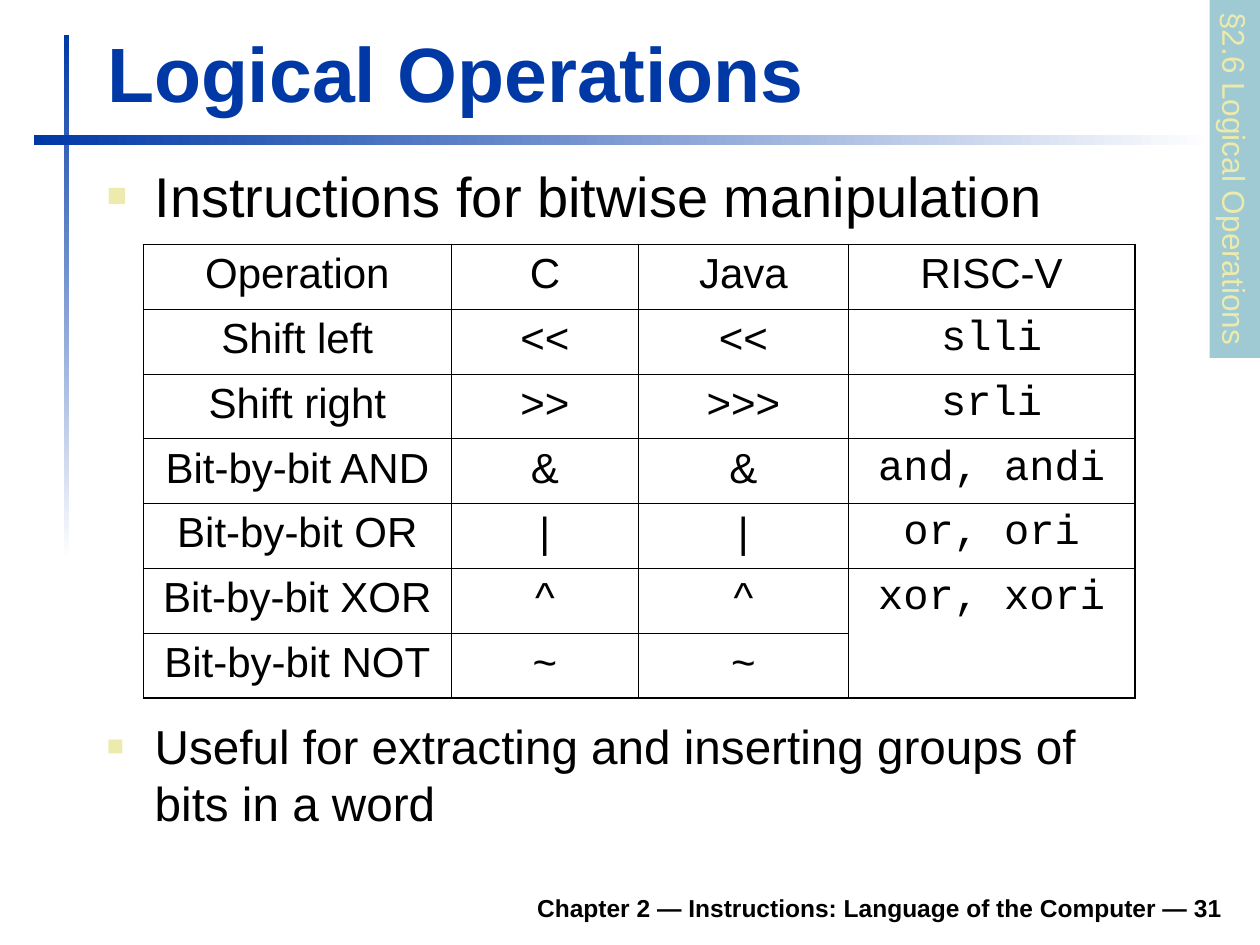
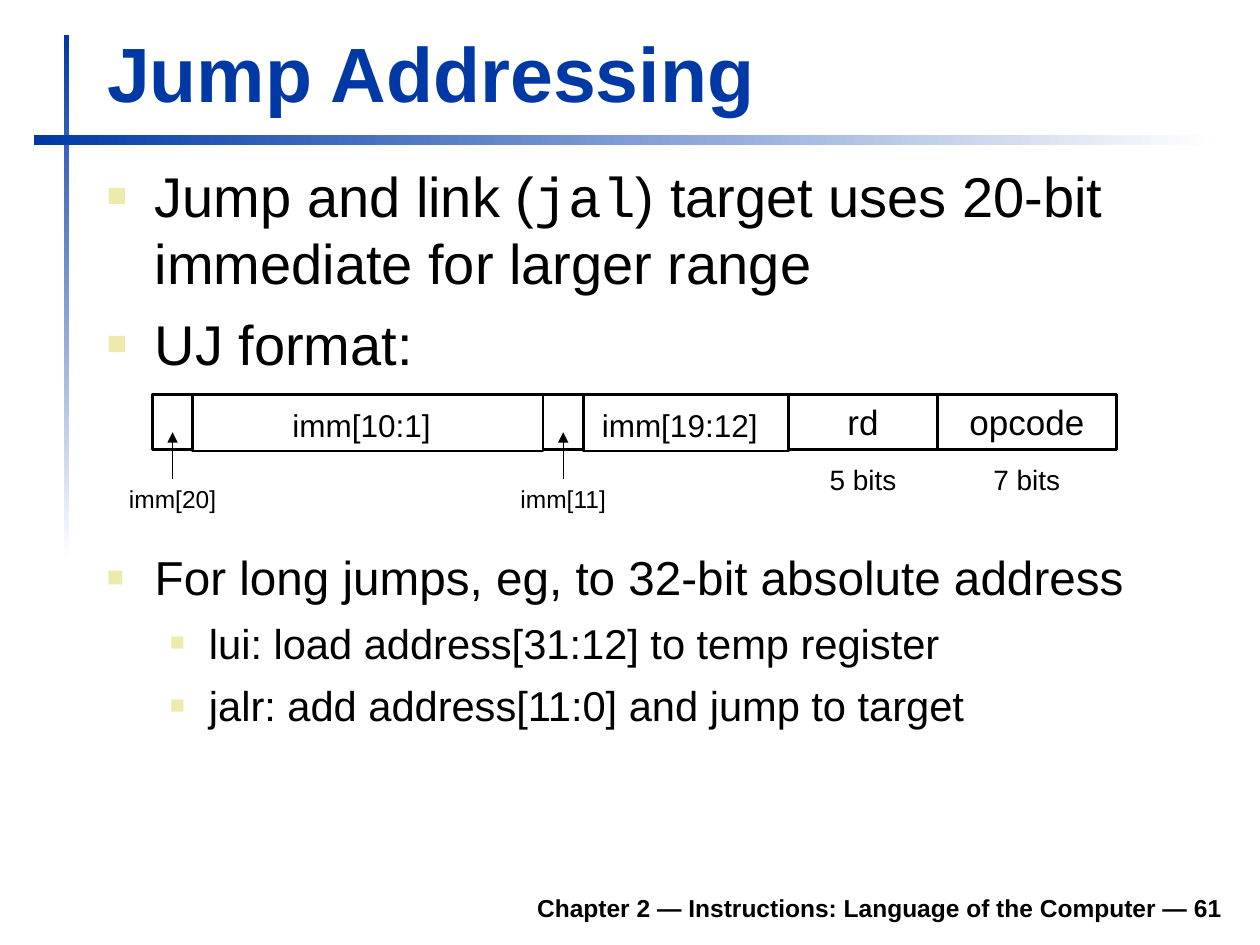
from dataclasses import dataclass

from lxml import etree
from pptx import Presentation
from pptx import util as u
from pptx.dml.color import RGBColor
from pptx.enum import shapes, text
from pptx.oxml import ns

Inches, Pt = u.Inches, u.Pt
LEFT, CENTER, RIGHT = text.PP_ALIGN.LEFT, text.PP_ALIGN.CENTER, text.PP_ALIGN.RIGHT


@dataclass(frozen=True)
class Theme:
    blue: str = "0039A6"
    white: str = "FFFFFF"
    black: str = "000000"
    cream: str = "ECEAAC"
    teal: str = "9FCAD3"
    sans: str = "Arial"
    mono: str = "Courier New"
    title: float = 44
    body: float = 32
    note: float = 27.2
    sub_note: float = 23.8
    cell: float = 24
    field: float = 20
    tab: float = 18
    bits: float = 16
    small: float = 14
    outer_line: float = 1.08
    header_line: float = 0.75
    inner_line: float = 0.45


THEME = Theme()


def rgb(color):
    return RGBColor.from_string(color)


def add_xml(parent, tag, **attributes):
    return etree.SubElement(parent, ns.qn(tag), attributes)


def area(left, top, width, height):
    return tuple(Inches(value) for value in (left, top, width, height))


# Text

def style_para(para, size, color=THEME.black, align=LEFT, bold=False, font=THEME.sans):
    para.alignment = align
    for span in para.runs:
        span.font.size = Pt(size)
        span.font.bold = bold
        span.font.name = font
        span.font.color.rgb = rgb(color)


def add_label(slide, words, place, size, align=CENTER, bold=False, spacing=None,
              wrap=False, anchor=text.MSO_ANCHOR.TOP):
    box = slide.shapes.add_textbox(*area(*place))
    frame = box.text_frame
    frame.word_wrap = wrap
    if not wrap:
        frame.auto_size = text.MSO_AUTO_SIZE.SHAPE_TO_FIT_TEXT
    frame.vertical_anchor = anchor
    frame.text = words
    para = frame.paragraphs[0]
    style_para(para, size, align=align, bold=bold)
    if spacing:
        para.line_spacing = Pt(spacing)
    return box


def add_bullet(para, level):
    indent, hanging = ((0.38, 0.38), (0.81, 0.31))[level]
    para.level = level
    para.space_before = Pt(8 - level)
    props = para._p.get_or_add_pPr()
    props.set("marL", str(Inches(indent)))
    props.set("indent", str(-Inches(hanging)))
    add_xml(add_xml(props, "a:buClr"), "a:srgbClr", val=THEME.cream)
    add_xml(props, "a:buSzPct", val="60000")
    add_xml(props, "a:buFont", typeface=THEME.sans)
    add_xml(props, "a:buChar", char="■")


def add_bullets(slide, place, items):
    """Each item is (level, size, spans); every second span is code."""
    frame = slide.shapes.add_textbox(*area(*place)).text_frame
    frame.word_wrap = True
    for number, (level, size, spans) in enumerate(items):
        para = frame.add_paragraph() if number else frame.paragraphs[0]
        for words in spans:
            para.add_run().text = words
        style_para(para, size)
        for code in para.runs[1::2]:
            code.font.name = THEME.mono
        add_bullet(para, level)


# Shapes

def add_rect(slide, place):
    rect = slide.shapes.add_shape(shapes.MSO_SHAPE.RECTANGLE, *area(*place))
    rect.shadow.inherit = False
    rect.fill.background()
    rect.line.fill.background()
    rect.text_frame.vertical_anchor = text.MSO_ANCHOR.TOP
    return rect


def add_band(slide, place, angle):
    fill = add_rect(slide, place).fill
    fill.gradient()
    fill.gradient_angle = angle
    for stop, color in zip(fill.gradient_stops, (THEME.blue, THEME.white)):
        stop.color.rgb = rgb(color)


def add_side_tab(slide, words):
    length, depth = 2.84, 0.4
    tab = add_rect(slide, (10 - (length + depth) / 2, (length - depth) / 2, length, depth))
    tab.rotation = 90
    tab.fill.solid()
    tab.fill.fore_color.rgb = rgb(THEME.teal)
    tab.text_frame.word_wrap = False
    tab.text_frame.text = words
    style_para(tab.text_frame.paragraphs[0], THEME.tab, THEME.cream)


def add_arrow_up(slide, label, x, tip):
    """Draw an arrow from the top of a label to the point (x, tip)."""
    arrow = slide.shapes.add_connector(
        shapes.MSO_CONNECTOR.STRAIGHT, Inches(x), label.top, Inches(x), Inches(tip))
    arrow.begin_connect(label, 0)
    arrow.line.color.rgb = rgb(THEME.black)
    arrow.line.width = Pt(0.75)
    add_xml(arrow.line._get_or_add_ln(), "a:tailEnd", type="triangle")
    add_xml(arrow._element.spPr, "a:effectLst")


# Table

def set_borders(cell, widths):
    props = cell._tc.get_or_add_tcPr()
    for side, width in zip("LRTB", widths):
        line = add_xml(props, f"a:ln{side}", w=str(Pt(width)))
        add_xml(add_xml(line, "a:solidFill"), "a:srgbClr", val=THEME.black)


def add_operations_table(slide, rows, col_widths, place):
    last_row, last_col = len(rows), len(col_widths)
    table = slide.shapes.add_table(last_row, last_col, *area(*place)).table
    table.first_row = table.horz_banding = False
    for column, width in zip(table.columns, col_widths):
        column.width = Inches(width)
    table.cell(last_row - 2, last_col - 1).merge(table.cell(last_row - 1, last_col - 1))

    def row_line(edge):
        if edge in (0, last_row):
            return THEME.outer_line
        return THEME.header_line if edge == 1 else THEME.inner_line

    def col_line(edge):
        return THEME.outer_line if edge in (0, last_col) else THEME.inner_line

    for r, row in enumerate(rows):
        for c, words in enumerate(row):
            cell = table.cell(r, c)
            cell.text = words
            para = cell.text_frame.paragraphs[0]
            is_code = r > 0 and c == last_col - 1
            style_para(para, THEME.cell, align=CENTER,
                       font=THEME.mono if is_code else THEME.sans)
            para.space_before = Pt(6)
            set_borders(cell, (col_line(c), col_line(c + 1),
                               row_line(r), row_line(r + cell.span_height)))
            cell.fill.background()


# Slides

def add_page(deck, title, number):
    page = deck.slides.add_slide(deck.slide_layouts[5])
    add_band(page, (0.51, 0.28, 0.04, 4.17), 270)
    add_band(page, (0.27, 1.07, 9.37, 0.08), 0)
    add_label(page, f"Chapter 2 — Instructions: Language of the Computer — {number}",
              (1.85, 6.98, 7.95, 0.39), THEME.small, RIGHT, bold=True, wrap=True,
              anchor=text.MSO_ANCHOR.BOTTOM)
    heading = page.shapes.title
    heading.left, heading.top, heading.width, heading.height = area(0.75, 0.16, 9.03, 0.83)
    heading.text_frame.text = title
    heading.text_frame.vertical_anchor = text.MSO_ANCHOR.BOTTOM
    heading.text_frame.auto_size = text.MSO_AUTO_SIZE.NONE
    style_para(heading.text_frame.paragraphs[0], THEME.title, THEME.blue, bold=True)
    return page


def add_logical_operations(deck):
    page = add_page(deck, "Logical Operations", 31)
    add_bullets(page, (0.75, 1.23, 9.04, 0.76),
                [(0, THEME.body, ["Instructions for bitwise manipulation"])])
    rows = [
        ("Operation", "C", "Java", "RISC-V"),
        ("Shift left", "<<", "<<", "slli"),
        ("Shift right", ">>", ">>>", "srli"),
        ("Bit-by-bit AND", "&", "&", "and, andi"),
        ("Bit-by-bit OR", "|", "|", "or, ori"),
        ("Bit-by-bit XOR", "^", "^", "xor, xori"),
        ("Bit-by-bit NOT", "~", "~"),
    ]
    add_operations_table(page, rows, (2.44, 1.49, 1.66, 2.28), (1.14, 1.94, 7.87, 3.6))
    add_bullets(page, (0.75, 5.64, 8.5, 1.02), [
        (0, THEME.note, ["Useful for extracting and inserting groups of bits in a word"])])
    add_side_tab(page, "§2.6 Logical Operations")


def add_instruction_format(page, left, top):
    # Fields: width, height, inner text, caption below
    fields = [
        (0.32, 0.44, "", "imm[20]"),
        (2.78, 0.45, "imm[10:1]", ""),
        (0.32, 0.44, "", "imm[11]"),
        (1.63, 0.45, "imm[19:12]", ""),
        (1.18, 0.44, "rd", "5 bits"),
        (1.42, 0.44, "opcode", "7 bits"),
    ]
    for width, height, name, caption in fields:
        field = add_rect(page, (left, top, width, height))
        field.line.color.rgb = rgb(THEME.black)
        field.line.width = Pt(1.5)
        middle = left + width / 2
        if name.startswith("imm"):
            add_label(page, name, (middle - 0.85, top + 0.12, 1.6, 0.32),
                      THEME.tab, spacing=16)
        elif name:
            field.text_frame.text = name
            style_para(field.text_frame.paragraphs[0], THEME.field, align=CENTER)
        if caption.startswith("imm"):
            label = add_label(page, caption, (middle - 0.5, top + 0.67, 1, 0.32),
                              THEME.small, spacing=16)
            add_arrow_up(page, label, middle, top + 0.3)
        elif caption:
            add_label(page, caption, (middle - 0.4, top + 0.49, 0.8, 0.37), THEME.bits)
        left += width


def add_jump_addressing(deck):
    page = add_page(deck, "Jump Addressing", 61)
    add_bullets(page, (0.75, 1.23, 9.04, 2.02), [
        (0, THEME.body, ["Jump and link (", "jal",
                         ") target uses 20-bit immediate for larger range"]),
        (0, THEME.body, ["UJ format:"]),
    ])
    add_bullets(page, (0.75, 4.3, 8.5, 1.84), [
        (0, THEME.note, ["For long jumps, eg, to 32-bit absolute address"]),
        (1, THEME.sub_note, ["lui: load address[31:12] to temp register"]),
        (1, THEME.sub_note, ["jalr: add address[11:0] and jump to target"]),
    ])
    add_instruction_format(page, 1.21, 3.13)


def main():
    deck = Presentation()
    deck.slide_width, deck.slide_height = Inches(10), Inches(7.5)
    add_logical_operations(deck)
    add_jump_addressing(deck)
    deck.save("out.pptx")


if __name__ == "__main__":
    main()
